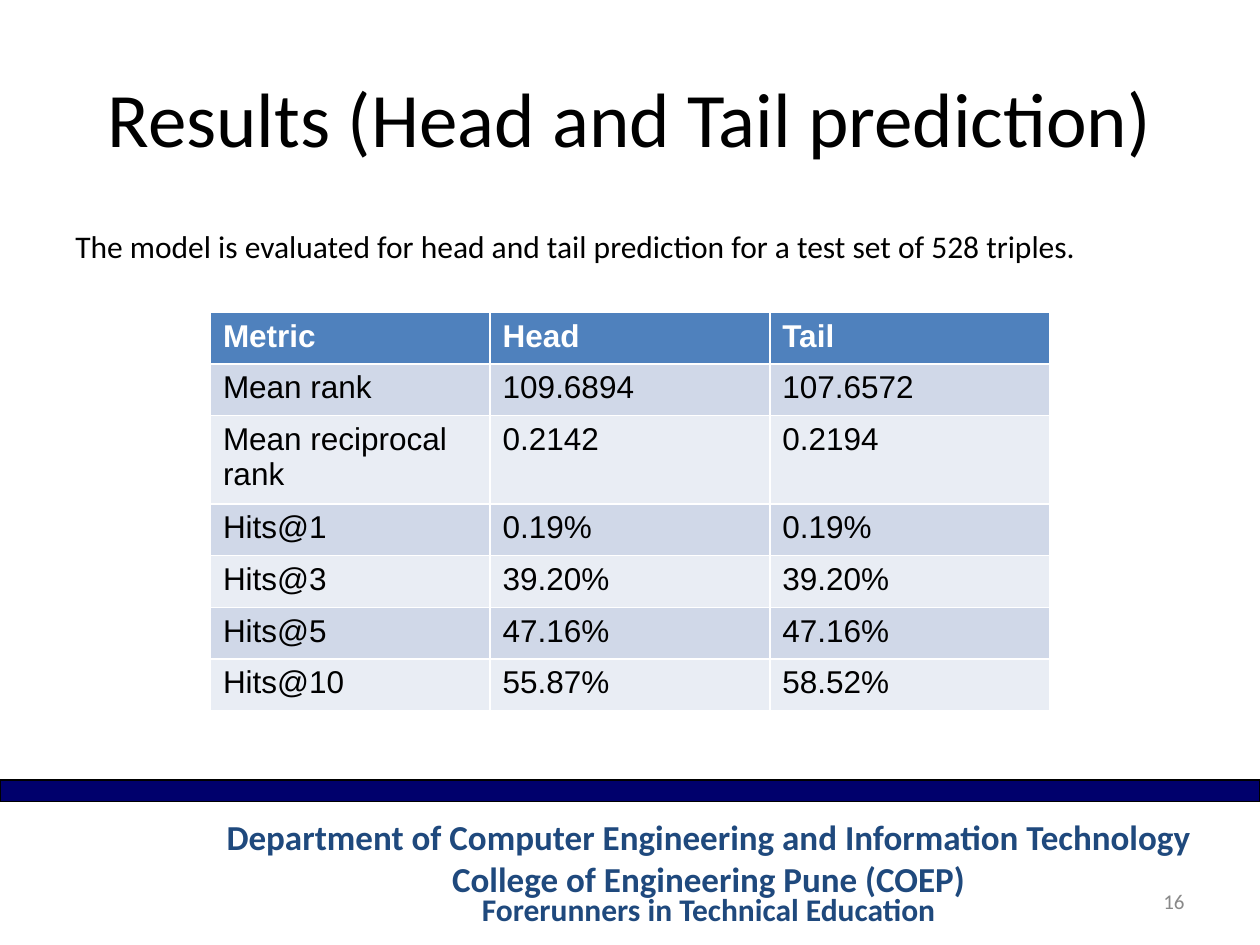
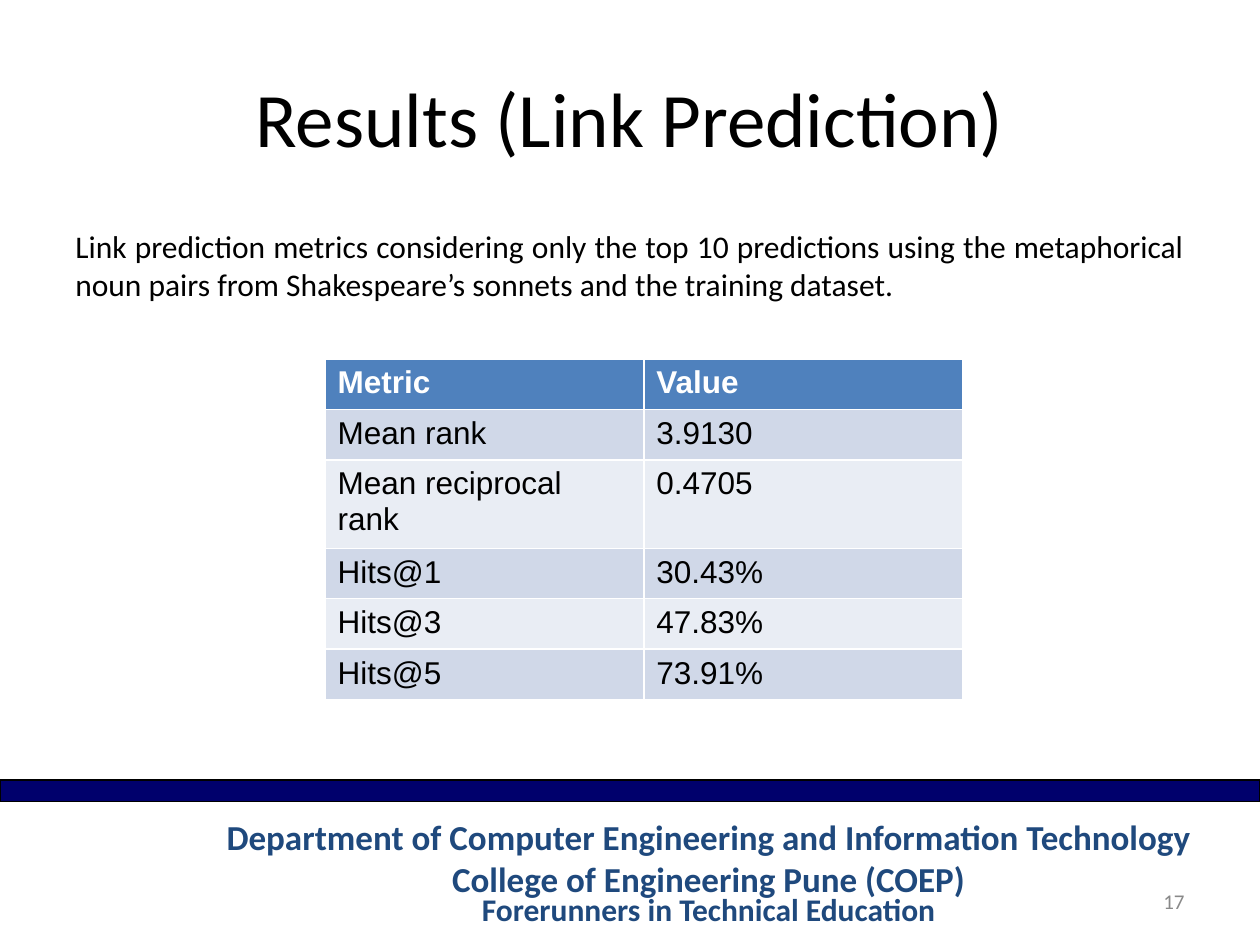
"""Build two slides of knowledge-graph results with a shared department footer."""
from pptx import Presentation
from pptx.dml.color import RGBColor
from pptx.enum.shapes import MSO_SHAPE
from pptx.enum.text import MSO_ANCHOR, PP_ALIGN
from pptx.util import Inches, Pt

SLIDES = [
    {
        "title": "Results (Head and Tail prediction)",
        "body": "The model is evaluated for head and tail prediction for a test set of 528 triples.",
        "number": 16,
        "table_at": (1.67, 2.48),
        "column_width": 2.22,
        "row_height": 0.41,
        "rows": [
            ("Metric", "Head", "Tail"),
            ("Mean rank", "109.6894", "107.6572"),
            ("Mean reciprocal rank", "0.2142", "0.2194"),
            ("Hits@1", "0.19%", "0.19%"),
            ("Hits@3", "39.20%", "39.20%"),
            ("Hits@5", "47.16%", "47.16%"),
            ("Hits@10", "55.87%", "58.52%"),
        ],
    },
    {
        "title": "Results (Link Prediction)",
        "body": "Link prediction metrics considering only the top 10 predictions using the "
                "metaphorical noun pairs from Shakespeare’s sonnets and the training dataset.",
        "number": 17,
        "table_at": (2.58, 2.85),
        "column_width": 2.53,
        "row_height": 0.36,
        "rows": [
            ("Metric", "Value"),
            ("Mean rank", "3.9130"),
            ("Mean reciprocal rank", "0.4705"),
            ("Hits@1", "30.43%"),
            ("Hits@3", "47.83%"),
            ("Hits@5", "73.91%"),
        ],
    },
]
FOOTER = [
    ("Department of Computer Engineering and Information Technology", 20, None),
    ("College of Engineering Pune (COEP)", 20, None),
    ("Forerunners in Technical Education", 18, Pt(16.1)),
]

TITLE_BOX = (0.5, 0.3, 9, 1.25)
BODY_BOX = (0.5, 1.75, 9, 4.58)
NUMBER_BOX = (7.17, 6.95, 2.33, 0.4)
FOOTER_BOX = (1.25, 6.42, 8.75, 1)
BAND_BOX = (0, 6.19, 10, 0.17)

BLACK = RGBColor(0x00, 0x00, 0x00)
WHITE = RGBColor(0xFF, 0xFF, 0xFF)
GREY = RGBColor(0x89, 0x89, 0x89)
NAVY = RGBColor(0x00, 0x00, 0x6C)
FOOTER_BLUE = RGBColor(0x1F, 0x49, 0x7D)
HEADER_BLUE = RGBColor(0x4F, 0x81, 0xBD)
ROW_FILLS = (RGBColor(0xE9, 0xED, 0xF4), RGBColor(0xD0, 0xD8, 0xE8))

LEFT, CENTER = PP_ALIGN.LEFT, PP_ALIGN.CENTER
RIGHT, JUSTIFY = PP_ALIGN.RIGHT, PP_ALIGN.JUSTIFY
TOP, MIDDLE = MSO_ANCHOR.TOP, MSO_ANCHOR.MIDDLE
RECTANGLE = MSO_SHAPE.RECTANGLE


def box(values):
    return [Inches(v) for v in values]


def write(p, text, size, color, align=LEFT, name="Calibri", bold=False):
    p.text = text
    p.alignment = align
    p.font.size = Pt(size)
    p.font.name = name
    p.font.bold = bold
    p.font.color.rgb = color


def add_text_frame(slide, place, anchor):
    tf = slide.shapes.add_textbox(*box(place)).text_frame
    tf.word_wrap = True
    tf.vertical_anchor = anchor
    return tf


def add_title(slide, text):
    sp = slide.shapes.title
    sp.left, sp.top, sp.width, sp.height = box(TITLE_BOX)
    sp.text_frame.vertical_anchor = MIDDLE
    write(sp.text_frame.paragraphs[0], text, 44, BLACK, CENTER)


def add_footer(slide, number):
    tf = add_text_frame(slide, NUMBER_BOX, MIDDLE)
    write(tf.paragraphs[0], str(number), 12, GREY, RIGHT)

    tf = add_text_frame(slide, FOOTER_BOX, MIDDLE)
    for i, (text, size, spacing) in enumerate(FOOTER):
        p = tf.add_paragraph() if i else tf.paragraphs[0]
        write(p, text, size, FOOTER_BLUE, CENTER, bold=True)
        p.line_spacing = spacing

    band = slide.shapes.add_shape(RECTANGLE, *box(BAND_BOX))
    band.shadow.inherit = False
    band.fill.solid()
    band.fill.fore_color.rgb = NAVY
    band.line.color.rgb = BLACK
    band.line.width = Pt(0.75)


def add_results_table(slide, rows, place, column_width, row_height):
    columns = len(rows[0])
    size = (columns * column_width, len(rows) * row_height)
    table = slide.shapes.add_table(len(rows), columns, *box(place + size)).table
    for column in table.columns:
        column.width = Inches(column_width)
    for r, values in enumerate(rows):
        table.rows[r].height = Inches(row_height)
        header = r == 0
        for c, value in enumerate(values):
            cell = table.cell(r, c)
            cell.fill.solid()
            cell.fill.fore_color.rgb = HEADER_BLUE if header else ROW_FILLS[r % 2]
            write(cell.text_frame.paragraphs[0], value, 18,
                  WHITE if header else BLACK, name="Arial", bold=header)


def main():
    prs = Presentation()
    prs.slide_width, prs.slide_height = Inches(10), Inches(7.5)
    title_only = prs.slide_layouts[5]
    for content in SLIDES:
        slide = prs.slides.add_slide(title_only)
        add_title(slide, content["title"])
        tf = add_text_frame(slide, BODY_BOX, TOP)
        write(tf.paragraphs[0], content["body"], 18, BLACK, JUSTIFY)
        add_footer(slide, content["number"])
        add_results_table(slide, content["rows"], content["table_at"],
                          content["column_width"], content["row_height"])
    prs.save("out.pptx")


if __name__ == "__main__":
    main()
